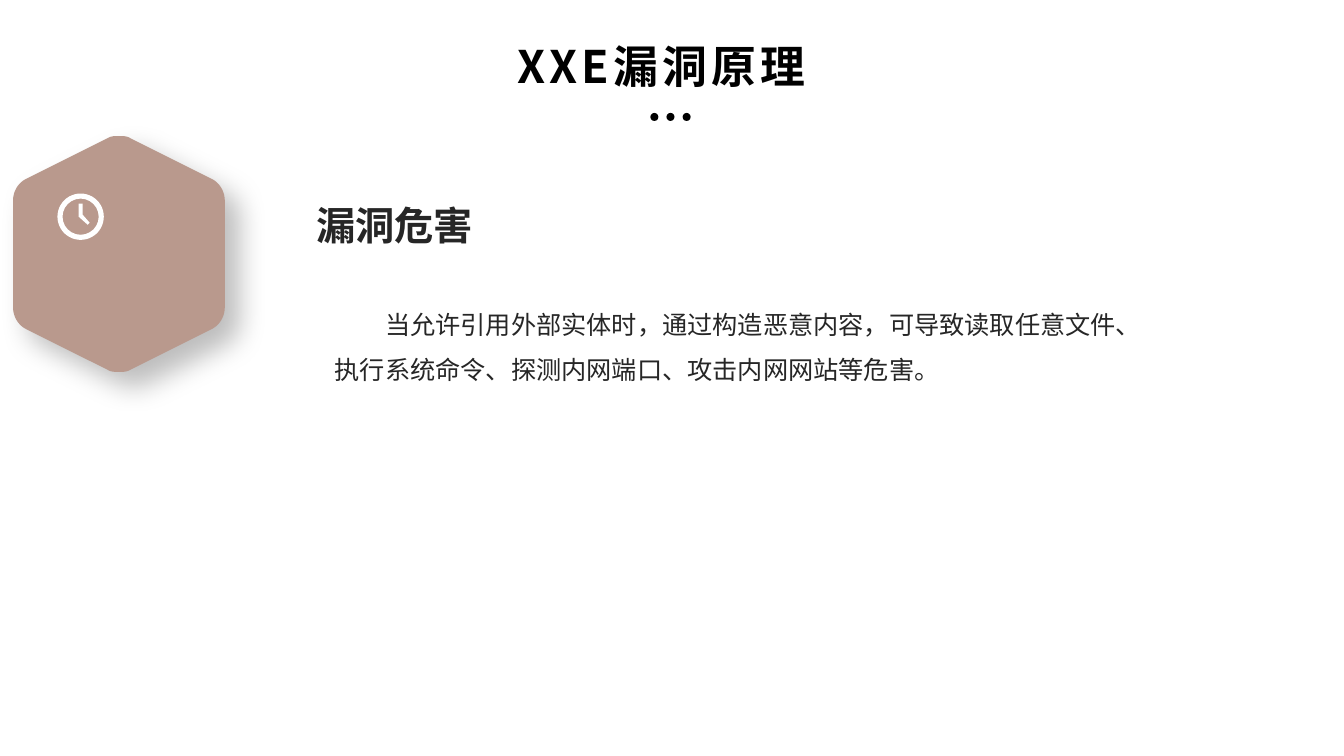
import pptx
import pptx.util
import pptx.dml.color
import pptx.enum.shapes
import pptx.enum.text
import pptx.oxml
import pptx.oxml.ns
from pptx.util import Inches

COLORS = {"background": "FFFFFF", "hexagon": "B9998D", "icon": "FFFFFF",
          "title": "000000", "text": "262626", "shadow": "000000"}
HEADING_FONT = "Noto Sans CJK SC"
BODY_FONT = "Quicksand"
HEXAGON_CENTER = (1.18, 2.52)
HEXAGON_CORNERS = [
    [(0, -1.17), (0.04, -1.17), (0.08, -1.17), (0.11, -1.15)],
    [(0.91, -0.75), (1, -0.71), (1.05, -0.62), (1.05, -0.53)],
]
CLOCK_HAND = [(0.82, 2.02), (0.78, 2.02), (0.78, 2.15),
              (0.87, 2.23), (0.89, 2.21), (0.82, 2.13)]


def rgb(name):
    return pptx.dml.color.RGBColor.from_string(COLORS[name])


def style_shape(shape, color):
    shape.shadow.inherit = False
    shape.fill.solid()
    shape.fill.fore_color.rgb = rgb(color)
    shape.line.fill.background()
    return shape


def add_outline(slide, points, color):
    builder = slide.shapes.build_freeform(
        Inches(points[0][0]), Inches(points[0][1]), scale=1.0)
    builder.add_line_segments(
        [(Inches(x), Inches(y)) for x, y in points[1:]], close=True)
    return style_shape(builder.convert_to_shape(), color)


def add_preset(slide, kind, left, top, size, color):
    shape = slide.shapes.add_shape(
        kind, Inches(left), Inches(top), Inches(size), Inches(size))
    return style_shape(shape, color)


def curve_points(controls, steps=12):
    points = []
    for step in range(steps + 1):
        t = step / steps
        weights = ((1 - t) ** 3, 3 * t * (1 - t) ** 2, 3 * t * t * (1 - t), t ** 3)
        points.append(tuple(
            sum(weight * control[axis] for weight, control in zip(weights, controls))
            for axis in (0, 1)))
    return points


def hexagon_points():
    quarter = [point for corner in HEXAGON_CORNERS for point in curve_points(corner)]
    right = quarter + [(x, -y) for x, y in reversed(quarter)]
    whole = right + [(-x, y) for x, y in reversed(right)]
    return [(HEXAGON_CENTER[0] + x, HEXAGON_CENTER[1] + y) for x, y in whole]


def add_shadow(shape):
    effects = shape.element.spPr.find(pptx.oxml.ns.qn("a:effectLst"))
    effects.append(pptx.oxml.parse_xml(
        f'<a:outerShdw {pptx.oxml.ns.nsdecls("a")} blurRad="{pptx.util.Pt(20)}" '
        f'dist="{pptx.util.Pt(15)}" dir="2700000" algn="tl" rotWithShape="0">'
        f'<a:srgbClr val="{COLORS["shadow"]}"><a:alpha val="25000"/></a:srgbClr>'
        '</a:outerShdw>'))


def add_text(slide, text, box, size, font, color, bold=False, margin=None):
    shape = slide.shapes.add_textbox(*(Inches(value) for value in box))
    frame = shape.text_frame
    frame.word_wrap = True
    if margin is not None:
        frame.margin_left = frame.margin_right = Inches(margin)
        frame.margin_top = frame.margin_bottom = Inches(margin)
    frame.text = text
    paragraph = frame.paragraphs[0]
    run = paragraph.runs[0]
    run.font.size = pptx.util.Pt(size)
    run.font.name = font
    run.font.bold = bold
    run.font.color.rgb = rgb(color)
    east_asian = pptx.oxml.parse_xml(
        f'<a:ea {pptx.oxml.ns.nsdecls("a")} typeface="{HEADING_FONT}"/>')
    run.font._element.find(pptx.oxml.ns.qn("a:latin")).addnext(east_asian)
    return paragraph


def add_title(slide):
    paragraph = add_text(slide, "XXE漏洞原理", (5.13, 0.38, 3.07, 0.54),
                         32, HEADING_FONT, "title", bold=True, margin=0)
    paragraph.alignment = pptx.enum.text.PP_ALIGN.JUSTIFY
    paragraph.runs[0].font._element.set("spc", "300")
    for index in range(3):
        add_preset(slide, pptx.enum.shapes.MSO_SHAPE.OVAL,
                   6.45 + 0.16 * index, 1.12, 0.08, "title")


def add_clock(slide):
    ring = add_preset(slide, pptx.enum.shapes.MSO_SHAPE.DONUT, 0.57, 1.92, 0.46, "icon")
    ring.adjustments[0] = 0.11
    add_outline(slide, CLOCK_HAND, "icon")


def add_body(slide):
    paragraph = add_text(
        slide,
        "当允许引用外部实体时，通过构造恶意内容，可导致读取任意文件、"
        "执行系统命令、探测内网端口、攻击内网网站等危害。",
        (3.22, 2.87, 8.01, 1), 18, BODY_FONT, "text")
    paragraph.line_spacing = 1.5
    paragraph._p.get_or_add_pPr().set("indent", str(Inches(0.5)))


def main():
    presentation = pptx.Presentation()
    presentation.slide_width = Inches(13.33)
    presentation.slide_height = Inches(7.5)
    slide = presentation.slides.add_slide(presentation.slide_layouts[6])
    slide.background.fill.solid()
    slide.background.fill.fore_color.rgb = rgb("background")
    add_shadow(add_outline(slide, hexagon_points(), "hexagon"))
    add_body(slide)
    add_text(slide, "漏洞危害", (3.04, 1.95, 4.72, 0.57),
             28, HEADING_FONT, "text", bold=True)
    add_clock(slide)
    add_title(slide)
    presentation.save("out.pptx")


if __name__ == "__main__":
    main()
